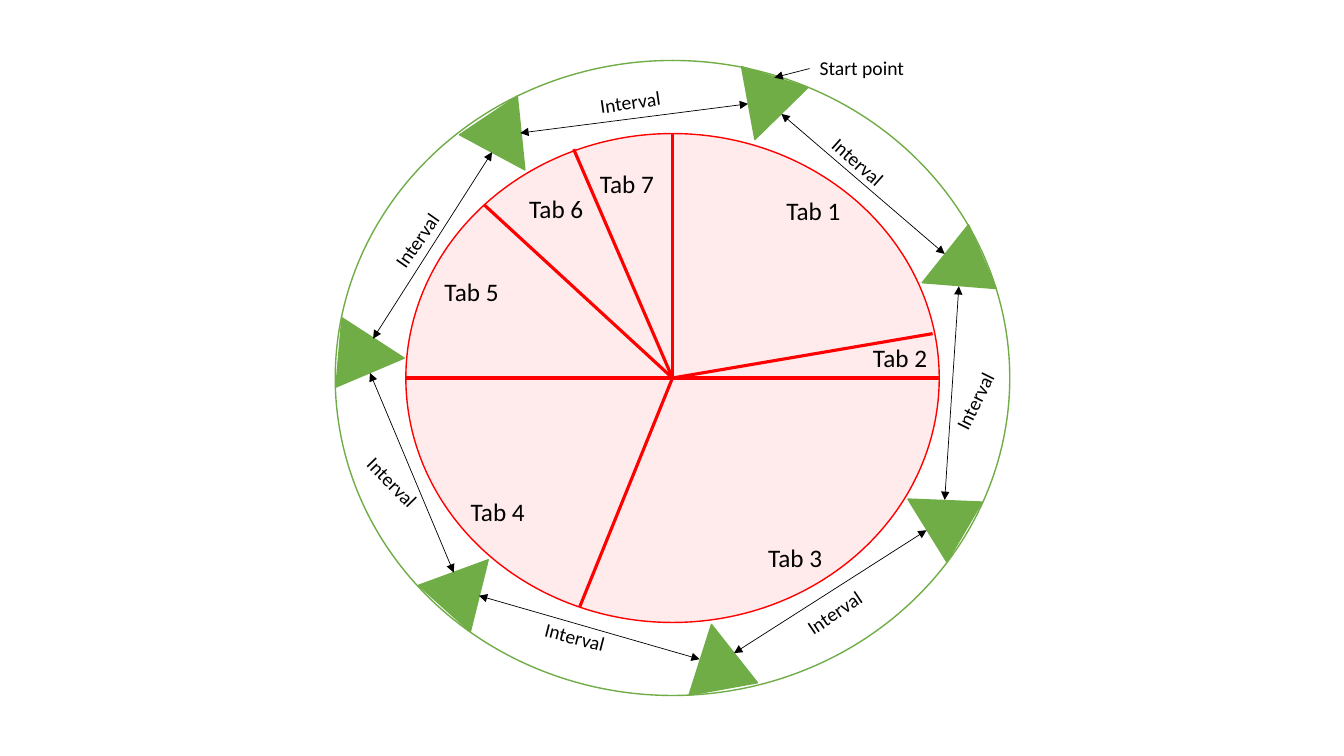
import pptx
import pptx.util
import pptx.dml.color
import pptx.enum.shapes
import pptx.enum.text
import pptx.oxml

Inches = pptx.util.Inches
Pt = pptx.util.Pt
SHAPES = pptx.enum.shapes.MSO_SHAPE

# Content: the tab wheel
RED, PINK, GREEN, BLACK = "FF0000", "FFEBEB", "70AD47", "000000"
CENTER = (6.67, 3.75)
WHEEL_SIZE = (5.29, 4.85)
RING_SIZE = (6.69, 6.3)
SPOKE_ENDS = [(6.67, 1.32), (9.31, 3.75), (4.02, 3.75), (5.75, 6.02),
              (4.8, 2.03), (5.69, 1.48), (9.25, 3.31)]
TAB_SIZE = (0.88, 0.4)
TABS = [("Tab 1", 7.7, 1.89), ("Tab 2", 8.56, 3.35), ("Tab 3", 7.52, 5.33),
        ("Tab 4", 4.57, 4.87), ("Tab 5", 4.31, 2.69), ("Tab 6", 5.15, 1.87),
        ("Tab 7", 5.85, 1.62)]

# Content: the ring of start points and intervals
MARKER_SIZE = (0.69, 0.65)
MARKERS = [(7.24, 0.75, 197.6), (9.1, 2.35, 246.6), (8.94, 4.79, 300.3),
           (6.77, 6.19, 349.7), (4.28, 5.47, 41.9), (3.34, 3.2, 95),
           (4.68, 1.09, 146.2)]  # left, top, rotation
INTERVAL_SIZE = (0.87, 0.34)
INTERVALS = [  # arrow start, arrow end, label left, top, rotation
    ((7.75, 1.13), (9.37, 2.52), (8.1, 1.46, 41.8)),
    ((9.37, 4.96), (9.51, 2.84), (9.25, 3.78, 296.4)),
    ((7.28, 6.48), (9.19, 5.26), (7.87, 5.89, 326.1)),
    ((4.75, 5.91), (6.94, 6.54), (5.3, 6.16, 14.4)),
    ((3.67, 3.7), (4.5, 5.68), (3.48, 4.64, 45.6)),
    ((3.7, 3.36), (4.88, 1.51), (3.72, 2.19, 304.8)),
    ((5.16, 1.32), (7.42, 1.03), (5.85, 0.84, 351.8)),
]
START_LABEL = ("Start point", 8.03, 0.51)
START_SIZE = (1.05, 0.34)
START_ARROW = ((8.03, 0.68), (7.68, 0.77))


def color(code):
    return pptx.dml.color.RGBColor.from_string(code)


def add_figure(parent, kind, left, top, size, line, fill=None, rotation=0):
    figure = parent.add_shape(kind, *map(Inches, (left, top, *size)))
    figure.shadow.inherit = False
    figure.rotation = rotation
    if fill:
        figure.fill.solid()
        figure.fill.fore_color.rgb = color(fill)
    else:
        figure.fill.background()
    figure.line.color.rgb = color(line)
    figure.line.width = Pt(1)


def add_ellipse(parent, size, line, fill=None):
    left, top = (middle - length / 2 for middle, length in zip(CENTER, size))
    add_figure(parent, SHAPES.OVAL, left, top, size, line, fill)


def add_line(parent, start, end, line, width, arrows=()):
    connector = parent.add_connector(
        pptx.enum.shapes.MSO_CONNECTOR.STRAIGHT, *map(Inches, (*start, *end)))
    connector.line.color.rgb = color(line)
    connector.line.width = Pt(width)
    namespace = pptx.oxml.ns.nsdecls("a")
    outline = connector.line._get_or_add_ln()
    for arrow in arrows:
        outline.append(pptx.oxml.parse_xml(f'<a:{arrow} {namespace} type="triangle"/>'))
    connector._element.spPr.append(pptx.oxml.parse_xml(f"<a:effectLst {namespace}/>"))


def add_label(parent, text, left, top, size, points, rotation=0):
    box = parent.add_textbox(*map(Inches, (left, top, *size)))
    box.rotation = rotation
    frame_format = {"word_wrap": True,
                    "auto_size": pptx.enum.text.MSO_AUTO_SIZE.SHAPE_TO_FIT_TEXT}
    for name, value in frame_format.items():
        setattr(box.text_frame, name, value)
    span = box.text_frame.paragraphs[0].add_run()
    span.text = text
    for name, value in {"name": "Calibri", "size": Pt(points)}.items():
        setattr(span.font, name, value)
    span.font.color.rgb = color(BLACK)


deck = pptx.Presentation()
deck.slide_width, deck.slide_height = Inches(13.33), Inches(7.5)
page = deck.slides.add_slide(deck.slide_layouts[6])
shapes = page.shapes

# Wheel with its spokes, as one group
wheel = shapes.add_group_shape().shapes
add_ellipse(wheel, WHEEL_SIZE, RED, PINK)
for spoke_end in SPOKE_ENDS:
    add_line(wheel, CENTER, spoke_end, RED, 2.25)

# Tab names
for tab, left, top in TABS:
    add_label(shapes, tab, left, top, TAB_SIZE, 18)

# Outer ring and its markers
add_ellipse(shapes, RING_SIZE, GREEN)
for left, top, rotation in MARKERS:
    add_figure(shapes, SHAPES.ISOSCELES_TRIANGLE, left, top, MARKER_SIZE,
               GREEN, GREEN, rotation)

# Intervals between markers
for start, end, (left, top, rotation) in INTERVALS:
    add_line(shapes, start, end, BLACK, 0.5, ("headEnd", "tailEnd"))
    add_label(shapes, "Interval", left, top, INTERVAL_SIZE, 14, rotation)

# Start point
add_line(shapes, *START_ARROW, BLACK, 0.5, ("tailEnd",))
add_label(shapes, *START_LABEL, START_SIZE, 14)

deck.save("out.pptx")
